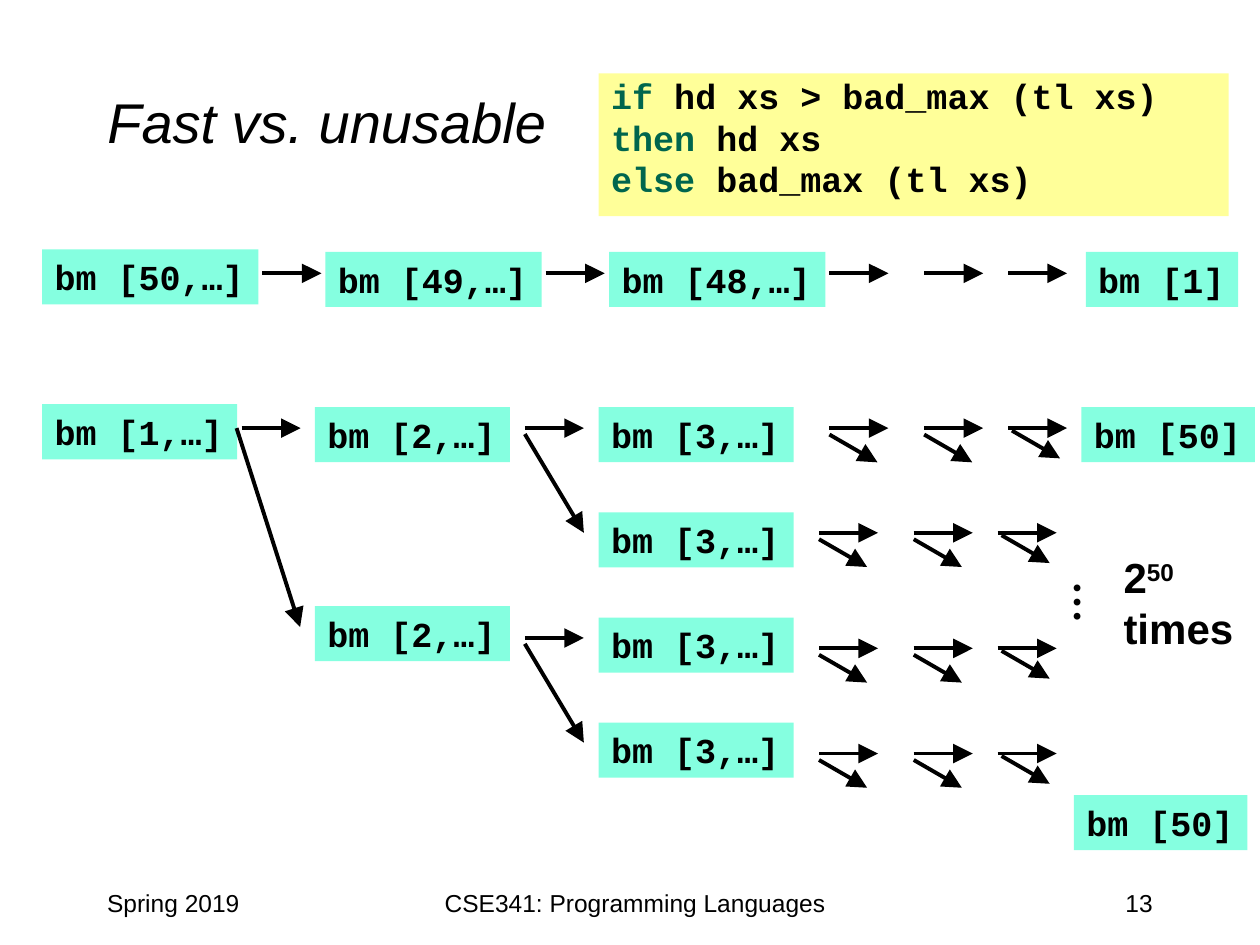
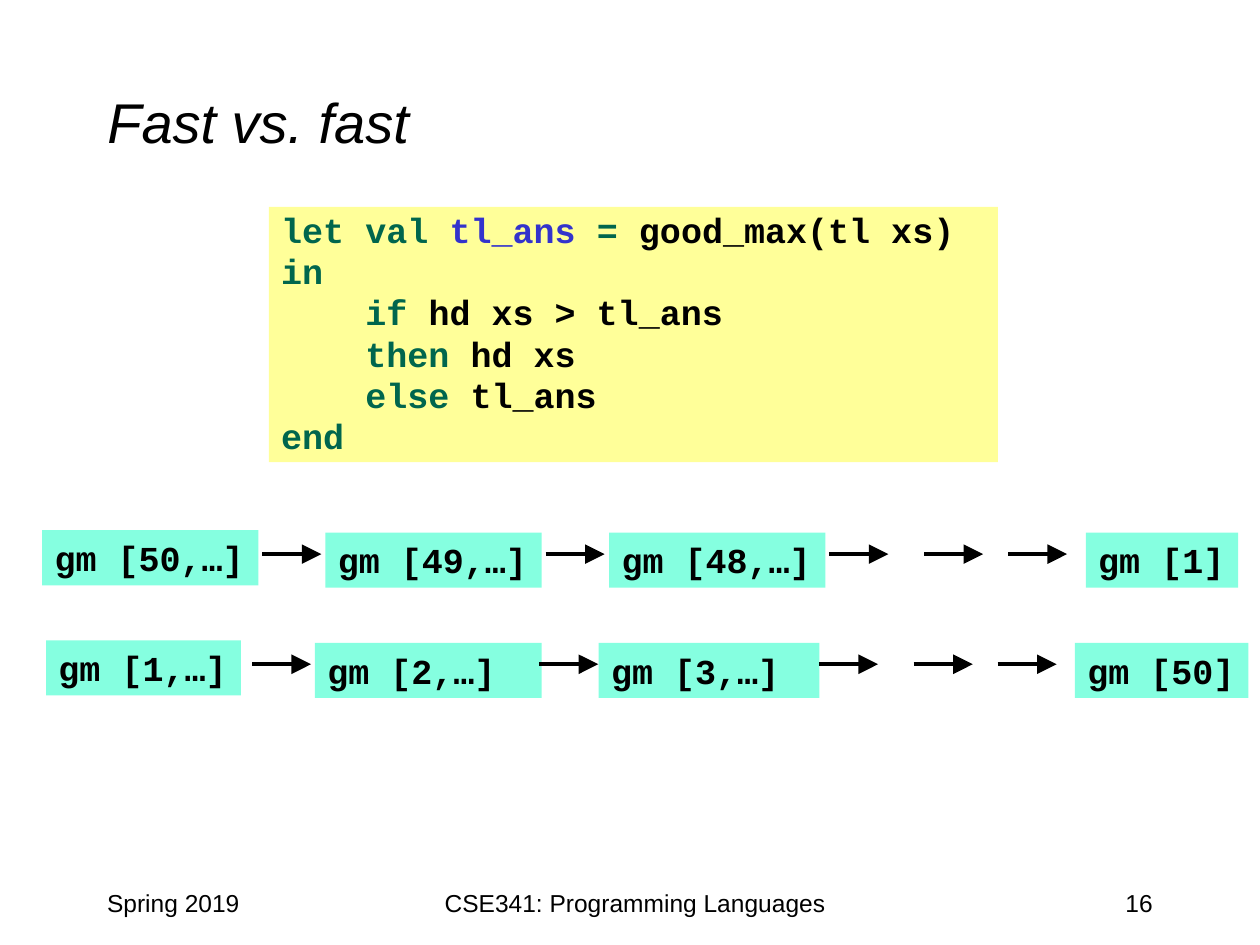
import pptx
import pptx.util
import pptx.dml.color
import pptx.enum.shapes
import pptx.enum.text
import pptx.oxml.ns
import lxml.etree

Cm, Pt = pptx.util.Cm, pptx.util.Pt
RGBColor = pptx.dml.color.RGBColor
ALIGN = pptx.enum.text.PP_ALIGN
MIDDLE = pptx.enum.text.MSO_ANCHOR.MIDDLE
qn = pptx.oxml.ns.qn

BLACK = RGBColor(0x00, 0x00, 0x00)
GREEN = RGBColor(0x00, 0x66, 0x4D)
BLUE = RGBColor(0x33, 0x33, 0xCC)
MINT = RGBColor(0x85, 0xFF, 0xE0)
YELLOW = RGBColor(0xFF, 0xFF, 0x99)
SANS, MONO, SERIF = "Arial", "Courier New", "Times New Roman"
STEP = 1.19  # length of a level arrow


def put(slide, text, x, y, w=None, h=1.11, size=20, font=MONO, bold=True,
        fill=MINT, align=ALIGN.LEFT):
    """Add a text box; a call label is as wide as its characters."""
    w = w or 0.49 + 0.43 * len(text)
    box = slide.shapes.add_textbox(Cm(x), Cm(y), Cm(w), Cm(h))
    frame = box.text_frame
    frame.text = text
    if fill:
        box.fill.solid()
        box.fill.fore_color.rgb = fill
        frame.word_wrap = w > 10
    for par in frame.paragraphs:
        par.alignment = align
        for run in par.runs:
            run.font.size, run.font.name = Pt(size), font
            run.font.bold, run.font.color.rgb = bold, BLACK
    return box


def arrow(slide, x, y, dx=STEP, dy=0):
    line = slide.shapes.add_connector(
        pptx.enum.shapes.MSO_CONNECTOR.STRAIGHT,
        Cm(x), Cm(y), Cm(x + dx), Cm(y + dy))
    line.line.color.rgb = BLACK
    line.line.width = Pt(2.25)
    props = line._element.spPr
    lxml.etree.SubElement(props.find(qn("a:ln")), qn("a:tailEnd"),
                          type="triangle", w="lg", len="lg")
    lxml.etree.SubElement(props, qn("a:effectLst"))


deck = pptx.Presentation()
deck.slide_width, deck.slide_height = Cm(25.4), Cm(19.05)

# Code of each slide: lines of coloured pieces
slow = [
    [("if ", GREEN), ("hd xs > bad_max (tl xs)", BLACK)],
    [("then ", GREEN), ("hd xs", BLACK)],
    [("else ", GREEN), ("bad_max (tl xs)", BLACK)],
]
fast = [
    [("let val ", GREEN), ("tl_ans ", BLUE), ("= ", GREEN), ("good_max(tl xs)", BLACK)],
    [("in", GREEN)],
    [("    if ", GREEN), ("hd xs > tl_ans", BLACK)],
    [("    then ", GREEN), ("hd xs", BLACK)],
    [("    else ", GREEN), ("tl_ans", BLACK)],
    [("end", GREEN)],
]

# Title, page, code, code place, function, height of the falling chain
pages = [
    ("Fast vs. unusable", 13, slow, (12.07, 1.48, 12.7, 2.88), "bm", 5.51),
    ("Fast vs. fast", 16, fast, (5.42, 4.17, 14.7, 5.15), "gm", 11.17),
]
for head, page, code, place, name, y in pages:
    slide = deck.slides.add_slide(deck.slide_layouts[5])

    # Title
    title = slide.shapes.title
    title.left, title.top, title.width, title.height = Cm(1.91), Cm(0.85), Cm(21.6), Cm(3.17)
    title.text_frame.text = head
    title.text_frame.vertical_anchor = MIDDLE
    par = title.text_frame.paragraphs[0]
    par.alignment = ALIGN.LEFT
    font = par.runs[0].font
    font.name, font.size, font.italic, font.color.rgb = SANS, Pt(32), True, BLACK

    # Footer
    for text, x, w, align in [
            ("Spring 2019", 1.91, 5.29, ALIGN.LEFT),
            ("CSE341: Programming Languages", 8.04, 9.53, ALIGN.CENTER),
            (str(page), 18.2, 5.29, ALIGN.RIGHT)]:
        put(slide, text, x, 17.78, w, 1.27, 14, SANS, False, None, align)

    # Code box
    frame = put(slide, "", *place, fill=YELLOW).text_frame
    for i, row in enumerate(code):
        par = frame.add_paragraph() if i else frame.paragraphs[0]
        par.line_spacing = 0.9
        par.space_before = Pt(2 if i else 0)
        for text, tint in row:
            run = par.add_run()
            run.text = text
            font = run.font
            font.name, font.size, font.bold, font.color.rgb = MONO, Pt(20), True, tint

    # Falling chain
    put(slide, f"{name} [50,…]", 0.85, y - 0.48)
    for arg, x in [("49,…", 6.56), ("48,…", 12.28), ("1", 21.89)]:
        put(slide, f"{name} [{arg}]", x, y - 0.43)
    for x in (5.29, 11, 16.72, 18.63, 20.32):
        arrow(slide, x, y)

bad, good = deck.slides

# Slide 13: call tree
put(bad, "bm [1,…]", 0.85, 8.15)
for y in (8.21, 12.22):
    put(bad, "bm [2,…]", 6.35, y)
for i in range(4):
    put(bad, "bm [3,…]", 12.07, 8.21 + 2.12 * i)
for x, y in [(21.8, 8.21), (21.65, 16.03)]:
    put(bad, "bm [50]", x, y)

arrow(bad, 4.87, 8.63)
arrow(bad, 4.77, 8.63, 1.28, 4.01)
for y in (8.63, 12.86):
    arrow(bad, 10.58, y)
    arrow(bad, 10.58, y + 0.12, STEP, 1.99)

# Slide 13: pairs of arrows after each third call
for x, y in [(16.72, 8.63), (16.51, 10.74), (16.51, 13.07), (16.51, 15.19)]:
    for level, slant, drop in [(0, 0, 0.13), (1.91, 1.91, 0.13), (3.6, 3.68, 0.05)]:
        arrow(bad, x + level, y)
        arrow(bad, x + slant, y + drop, 0.97, 0.56)

# Slide 13: number of calls
dots = put(bad, "…", 21.31, 11.53, 1.37, 1.27, 24, SERIF, fill=None)
dots.rotation = 90
times = put(bad, "2\ntimes", 22.4, 11, 2.75, 2.31, 24, SANS, fill=None)
power = times.text_frame.paragraphs[0].add_run()
power.text = "50"
font = power.font
font.name, font.size, font.bold, font.color.rgb = SANS, Pt(24), True, BLACK
power._r.get_or_add_rPr().set("baseline", "30000")

# Slide 16: rising chain
put(good, "gm [1,…]", 0.93, 12.91)
for text, x, w in [("gm [2,…]", 6.35, 4.57), ("gm [3,…]", 12.07, 4.45),
                   ("gm [50]", 21.67, None)]:
    put(good, text, x, 12.96, w)
for x in (5.08, 10.87, 16.51, 18.42, 20.11):
    arrow(good, x, 13.39)

deck.save("out.pptx")
